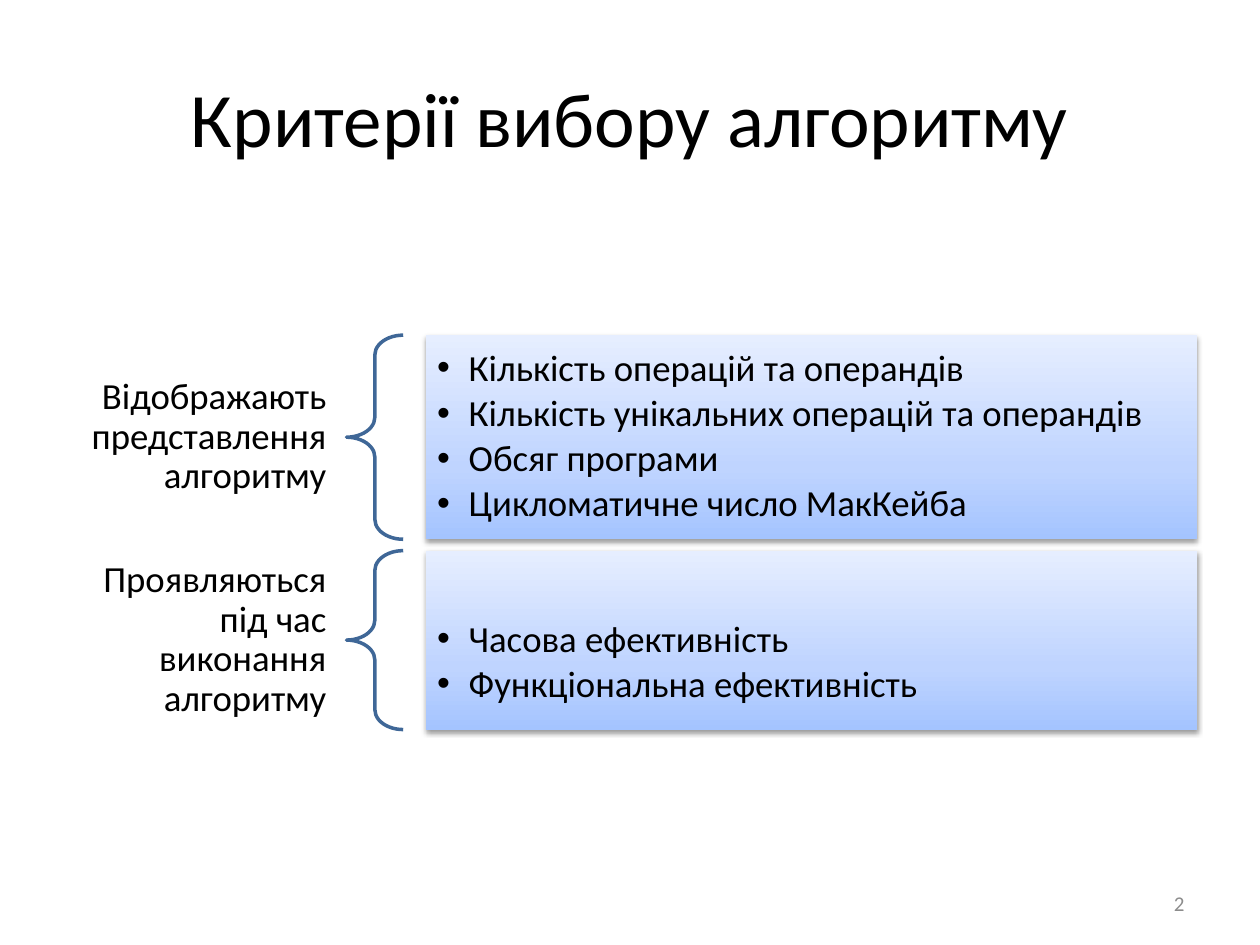
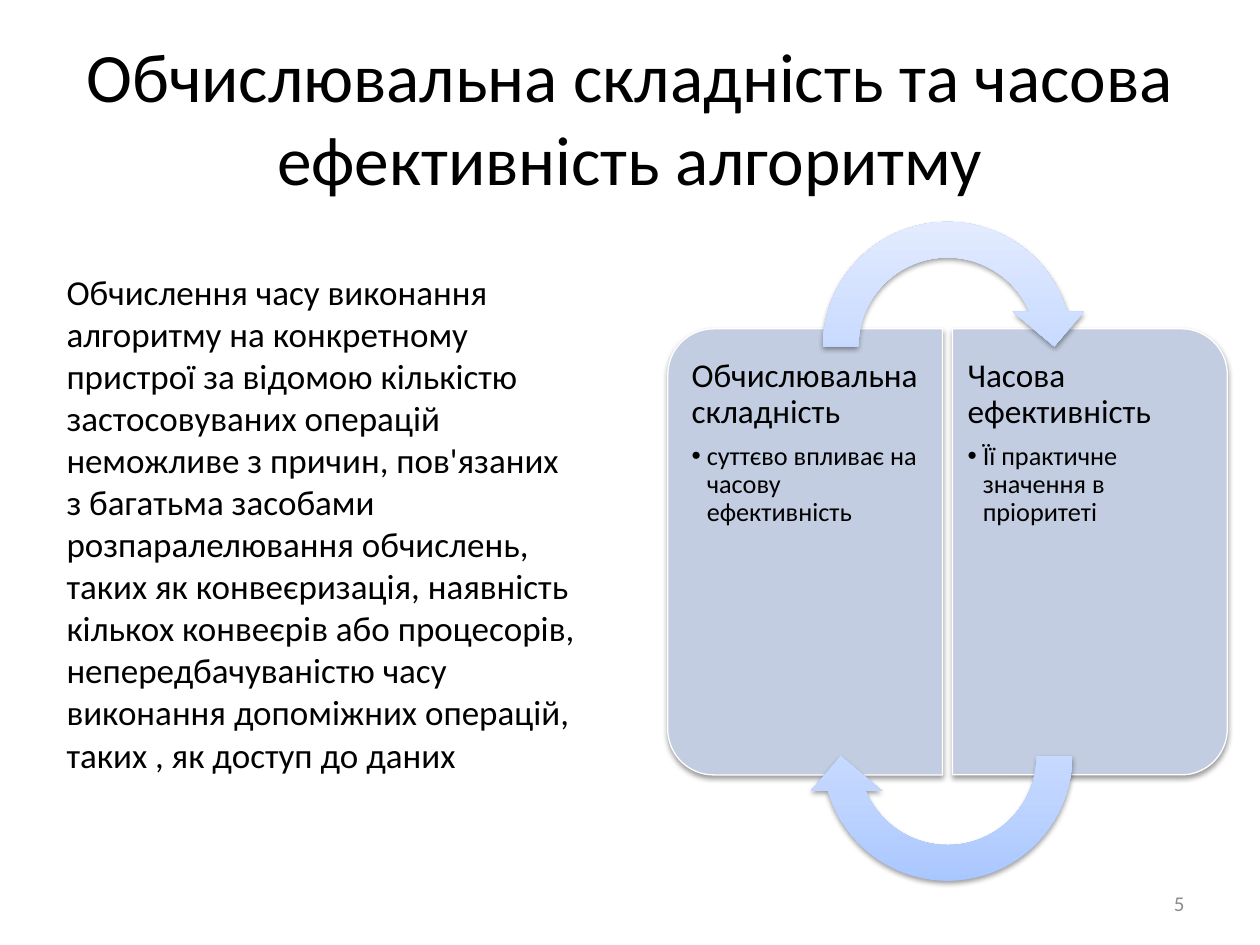
from dataclasses import dataclass

import lxml.etree
import pptx
import pptx.dml.color
import pptx.enum.shapes
import pptx.enum.text
import pptx.oxml.ns
import pptx.util

SHAPES = pptx.enum.shapes.MSO_SHAPE
ALIGN = pptx.enum.text.PP_ALIGN
ANCHOR = pptx.enum.text.MSO_ANCHOR
qn = pptx.oxml.ns.qn


@dataclass(frozen=True)
class Theme:
    font: str = "Calibri"
    ink: str = "000000"
    muted: str = "8C8C8C"
    brace: str = "3F6797"
    card: str = "C2CDE1"
    white: str = "FFFFFF"
    gradient: tuple = ((0, "A4C4FF"), (35, "BFD4FF"), (100, "E6EEFF"))
    title: float = 44
    long_title: float = 39.6
    label: float = 21
    body: float = 20
    heading: float = 19
    detail: float = 15
    number: float = 12
    tight: float = 0.9


THEME = Theme()


@dataclass(frozen=True)
class Box:
    left: float
    top: float
    width: float
    height: float

    def share(self, left, top, width, height):
        return Box(self.left + left * self.width, self.top + top * self.height,
                   width * self.width, height * self.height)

    def inches(self):
        return [pptx.util.Inches(round(value, 2))
                for value in (self.left, self.top, self.width, self.height)]


PAGE = Box(0, 0, 10, 7.5)


def color(value):
    return pptx.dml.color.RGBColor.from_string(value)


def add_element(parent, tag, **attributes):
    element = lxml.etree.SubElement(parent, qn(tag))
    for name, value in attributes.items():
        element.set(name, str(value))
    return element


def prepare_frame(shape, anchor=ANCHOR.TOP, insets=(0.1, 0.05, 0.1, 0.05)):
    frame = shape.text_frame
    frame.word_wrap = True
    frame.vertical_anchor = anchor
    (frame.margin_left, frame.margin_top,
     frame.margin_right, frame.margin_bottom) = map(pptx.util.Inches, insets)
    return frame


def add_text_box(page, box, **options):
    return prepare_frame(page.shapes.add_textbox(*box.inches()), **options)


def write(frame, words, size, ink=THEME.ink, align=ALIGN.LEFT,
          spacing=1.0, after=0, indent=0):
    para = frame.paragraphs[0]
    if para.runs:
        para = frame.add_paragraph()
    para.alignment = align
    para.line_spacing = spacing
    para.space_after = pptx.util.Pt(after)
    if indent:
        properties = para._p.get_or_add_pPr()
        properties.set("marL", str(pptx.util.Inches(indent)))
        properties.set("indent", str(pptx.util.Inches(-indent)))
        add_element(properties, "a:buFont", typeface="Arial")
        add_element(properties, "a:buChar", char="•")
    span = para.add_run()
    span.text = words
    span.font.name = THEME.font
    span.font.size = pptx.util.Pt(size)
    span.font.color.rgb = color(ink)


def add_figure(page, kind, box, adjustments=(), rotation=0):
    shape = page.shapes.add_shape(kind, *box.inches())
    shape.shadow.inherit = False
    shape.rotation = rotation
    for index, value in enumerate(adjustments):
        shape.adjustments[index] = value
    return shape


def fill_gradient(shape):
    shape.line.fill.background()
    shape.fill.gradient()
    shape.fill.gradient_angle = 90
    gradient = shape._element.spPr.find(qn("a:gradFill"))
    gradient.set("rotWithShape", "0")
    stops = gradient.find(qn("a:gsLst"))
    for stop in list(stops):
        stops.remove(stop)
    for position, value in THEME.gradient:
        stop = add_element(stops, "a:gs", pos=position * 1000)
        add_element(stop, "a:srgbClr", val=value)


def cast_shadow(shape):
    effects = shape._element.spPr.find(qn("a:effectLst"))
    shadow = add_element(effects, "a:outerShdw", blurRad=pptx.util.Pt(3.1),
                         dist=pptx.util.Pt(1.6), dir=90 * 60000, rotWithShape=0)
    shade = add_element(shadow, "a:srgbClr", val=THEME.ink)
    add_element(shade, "a:alpha", val=38000)


def add_page(deck, title, title_size, number):
    page = deck.slides.add_slide(deck.slide_layouts[6])
    page.background.fill.solid()
    page.background.fill.fore_color.rgb = color(THEME.white)
    frame = add_text_box(page, PAGE.share(0.05, 0.04, 0.9, 1 / 6), anchor=ANCHOR.MIDDLE)
    write(frame, title, title_size, align=ALIGN.CENTER)
    frame = add_text_box(page, PAGE.share(0.72, 0.93, 0.23, 0.05), anchor=ANCHOR.MIDDLE)
    write(frame, number, THEME.number, THEME.muted, ALIGN.RIGHT)
    return page


def add_criteria_row(page, box, label, criteria, lead):
    frame = add_text_box(page, box.share(0, 0, 0.25, 1), anchor=ANCHOR.MIDDLE,
                         insets=(0.16, 0.06, 0.16, 0.06))
    write(frame, label, THEME.label, align=ALIGN.RIGHT, spacing=THEME.tight)

    brace = add_figure(page, SHAPES.LEFT_BRACE, box.share(0.25, 0, 0.05, 1), (0.35, 0.5))
    brace.fill.background()
    brace.line.color.rgb = color(THEME.brace)
    brace.line.width = pptx.util.Pt(2)

    panel = add_figure(page, SHAPES.RECTANGLE, box.share(0.32, 0, 0.68, 1))
    fill_gradient(panel)
    cast_shadow(panel)
    frame = prepare_frame(panel, ANCHOR.MIDDLE, (0.09, 0.09 + lead, 0.09, 0.09))
    for criterion in criteria:
        write(frame, criterion, THEME.label, spacing=THEME.tight, after=3.15, indent=0.25)


def add_criteria(page, box):
    rows = (
        (0, 0.518, "Відображають представлення алгоритму",
         ("Кількість операцій та операндів", "Кількість унікальних операцій та операндів",
          "Обсяг програми", "Цикломатичне число МакКейба"), 0),
        (0.546, 0.454, "Проявляються під час виконання алгоритму",
         ("Часова ефективність", "Функціональна ефективність"), 0.36),
    )
    for top, height, label, criteria, lead in rows:
        add_criteria_row(page, box.share(0, top, 1, height), label, criteria, lead)


def add_card(page, box, rotation, text_left, insets, heading, detail):
    across, along = box.width, box.height
    turned = Box(box.left + (across - along) / 2, box.top + (along - across) / 2,
                 along, across)
    card = add_figure(page, SHAPES.ROUND_2_SAME_RECTANGLE, turned, (0.167, 0), rotation)
    card.fill.solid()
    card.fill.fore_color.rgb = color(THEME.card)
    card.line.color.rgb = color(THEME.white)
    card.line.width = pptx.util.Pt(0.75)
    cast_shadow(card)
    frame = add_text_box(page, box.share(text_left, 0.03, 0.95, 0.94), insets=insets)
    write(frame, heading, THEME.heading, spacing=THEME.tight, after=6.65)
    write(frame, detail, THEME.detail, spacing=THEME.tight, after=2.25, indent=0.12)


def add_cycle(page, box):
    cards = (
        (0, 270, 0.05, (0.08, 0.13, 0.12, 0.13),
         "Обчислювальна складність", "суттєво впливає на часову ефективність"),
        (0.51, 90, 0, (0.12, 0.13, 0.08, 0.13),
         "Часова ефективність", "Її практичне значення в пріоритеті"),
    )
    for left, *details in cards:
        add_card(page, box.share(left, 0.18, 0.49, 0.642), *details)
    for top, rotation in ((0, 0), (0.59, 180)):
        arrow = add_figure(page, SHAPES.CIRCULAR_ARROW, box.share(0.245, top, 0.51, 0.41),
                           (0.125, 11.423, 204.577, 108, 0.125), rotation)
        fill_gradient(arrow)
        cast_shadow(arrow)


def add_explanation(page, box):
    frame = add_text_box(page, box)
    write(frame, "Обчислення часу виконання алгоритму на конкретному пристрої за відомою "
          "кількістю застосовуваних операцій неможливе з причин, пов'язаних з багатьма "
          "засобами розпаралелювання обчислень, таких як конвеєризація, наявність кількох "
          "конвеєрів або процесорів, непередбачуваністю часу виконання допоміжних операцій, "
          "таких , як доступ до даних", THEME.body)


def main():
    deck = pptx.Presentation()
    deck.slide_width = pptx.util.Inches(PAGE.width)
    deck.slide_height = pptx.util.Inches(PAGE.height)

    page = add_page(deck, "Критерії вибору алгоритму", THEME.title, "2")
    add_criteria(page, PAGE.share(0.05, 0.355, 0.9, 0.417))

    page = add_page(deck, "Обчислювальна складність та часова ефективність алгоритму",
                    THEME.long_title, "5")
    add_explanation(page, PAGE.share(0.043, 0.28, 0.426, 0.55))
    add_cycle(page, PAGE.share(0.53, 0.216, 0.444, 0.735))

    deck.save("out.pptx")


if __name__ == "__main__":
    main()
